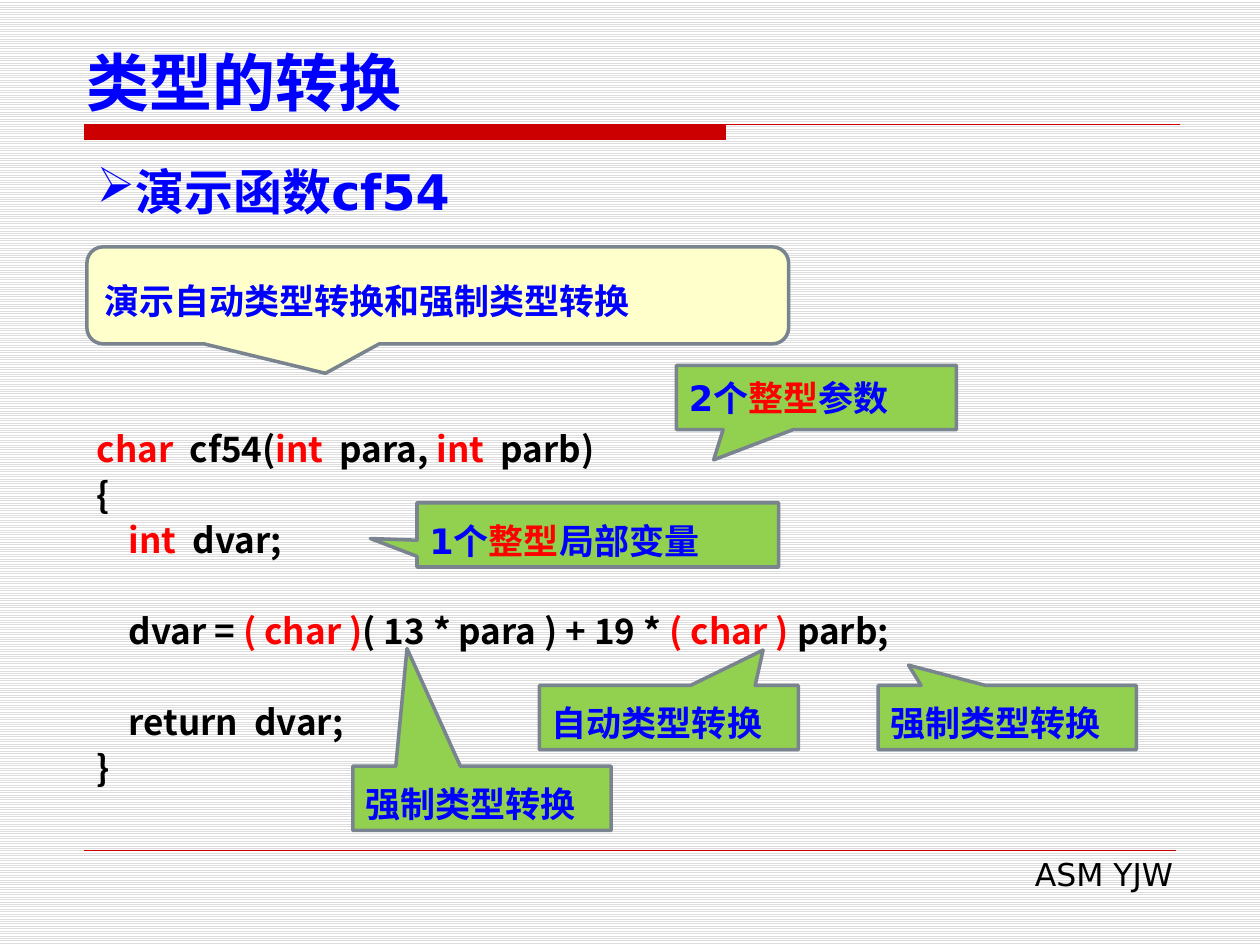
from lxml.etree import SubElement
from pptx import Presentation
from pptx.dml.color import RGBColor
from pptx.enum.dml import MSO_PATTERN
from pptx.enum.shapes import MSO_CONNECTOR, MSO_SHAPE
from pptx.enum.text import MSO_ANCHOR, PP_ALIGN
from pptx.oxml.ns import qn
from pptx.util import Pt

BLUE = RGBColor(0x00, 0x00, 0xFF)
RED = RGBColor(0xFF, 0x00, 0x00)
BLACK = RGBColor(0x00, 0x00, 0x00)
RULE_RED = RGBColor(0xCC, 0x00, 0x00)
GREEN = RGBColor(0x92, 0xD0, 0x50)
CREAM = RGBColor(0xFF, 0xFF, 0xCC)
OUTLINE = RGBColor(0x79, 0x84, 0x8F)
STRIPE = RGBColor(0xDD, 0xDD, 0xDD)
WHITE = RGBColor(0xFF, 0xFF, 0xFF)
LATIN, CJK = "DejaVu Sans", "Noto Sans CJK SC"

# Content: backticks enclose red words
TITLE = "类型的转换"
SUBTITLE = "演示函数cf54"
FOOTER = "ASM YJW"
CODE_PITCH, CODE_INDENT = 26, 18.3
CODE = [  # text, indent level, empty lines above
    ("`char  `cf54(`int  `para, `int  `parb)", 0, 0),
    ("{", 0, 0),
    ("`int  `dvar;", 1, 0),
    ("dvar = `( char )`( 13 * para ) + 19 * `( char ) `parb;", 1, 1),
    ("return  dvar;", 1, 1),
    ("}", 0, 0),
]
RECT, ROUND = MSO_SHAPE.RECTANGULAR_CALLOUT, MSO_SHAPE.ROUNDED_RECTANGULAR_CALLOUT
CALLOUTS = [  # text, shape, fill, font, box, pointer tip, line pitch
    ("强制类型转换", RECT, GREEN, LATIN, (201.6, 437.8, 147.6, 36.7), (-0.29, -2.331), 30),
    ("演示自动类型转换和强制类型转换", ROUND, CREAM, CJK,
     (49.7, 141.1, 401, 55.4), (-0.16, 0.804), 30),
    ("2个`整型`参数", RECT, GREEN, LATIN, (386.6, 208.8, 160, 36.7), (-0.367, 0.971), None),
    ("1个`整型`局部变量", RECT, GREEN, LATIN, (238.3, 287.3, 206.6, 36.7), (-0.629, 0.057), 30),
    ("强制类型转换", RECT, GREEN, LATIN, (501.8, 391.7, 147.6, 36.7), (-0.382, -0.816), 30),
    ("自动类型转换", RECT, GREEN, LATIN, (308.2, 391.7, 148, 36.7), (0.364, -1.052), 30),
]


def write(paragraph, text, size, color, font=LATIN, bold=True, align=PP_ALIGN.LEFT, pitch=None):
    paragraph.alignment = align
    if pitch:
        paragraph.line_spacing = Pt(pitch)
    paragraph.font.size = Pt(size)
    paragraph.font.bold = bold
    paragraph.font.name = font
    for index, part in enumerate(text.split("`")):
        if part:
            run = paragraph.add_run()
            run.text = part
            run.font.color.rgb = RED if index % 2 else color
            properties = run.font._element
            SubElement(properties, qn("a:latin"), typeface=font)
            SubElement(properties, qn("a:ea"), typeface=CJK)


def add_text_frame(box, anchor=MSO_ANCHOR.TOP):
    frame = slide.shapes.add_textbox(*map(Pt, box)).text_frame
    frame.word_wrap = True
    frame.vertical_anchor = anchor
    return frame


presentation = Presentation()
presentation.slide_width, presentation.slide_height = Pt(720), Pt(540)
slide = presentation.slides.add_slide(presentation.slide_layouts[6])

# Striped background
background = slide.background.fill
background.patterned()
background.pattern = MSO_PATTERN.LIGHT_HORIZONTAL
background.fore_color.rgb = STRIPE
background.back_color.rgb = WHITE

# Title rule: thick bar with a thin line running on
left, top, bar_right, bottom, line_right = map(Pt, (48.2, 71.3, 414.7, 79.9, 674.6))
builder = slide.shapes.build_freeform(left, top)
builder.add_line_segments([(bar_right, top), (bar_right, bottom), (left, bottom)], close=True)
builder.move_to(left, top)
builder.add_line_segments([(line_right, top)], close=False)
title_rule = builder.convert_to_shape()
title_rule.shadow.inherit = False
title_rule.fill.solid()
title_rule.fill.fore_color.rgb = RULE_RED
title_rule.line.color.rgb = RULE_RED
title_rule.line.width = Pt(0.75)

# Footer
footer_rule = slide.shapes.add_connector(
    MSO_CONNECTOR.STRAIGHT, left, Pt(486), Pt(671.8), Pt(486))
footer_rule.line.color.rgb = RULE_RED
footer_rule.line.width = Pt(0.25)
SubElement(footer_rule._element.spPr, qn("a:effectLst"))
footer = add_text_frame((275, 485.3, 402.5, 28.8))
write(footer.paragraphs[0], FOOTER, 18, BLACK, bold=False, align=PP_ALIGN.RIGHT)

# Title and bulleted subtitle
title = add_text_frame((42.5, 20.2, 652.3, 51.1), MSO_ANCHOR.BOTTOM)
write(title.paragraphs[0], TITLE, 36, BLUE, CJK)
subtitle = add_text_frame((48.2, 88.6, 623.5, 41)).paragraphs[0]
write(subtitle, SUBTITLE, 28, BLUE, align=PP_ALIGN.JUSTIFY)
bullet = SubElement(subtitle._p.get_or_add_pPr(), qn("a:buChar"), char="➢")
subtitle._p.pPr.insert(0, bullet)

# Code listing
code = add_text_frame((48.2, 239, 561.6, 217.4))
for index, (text, level, gap) in enumerate(CODE):
    paragraph = code.add_paragraph() if index else code.paragraphs[0]
    write(paragraph, text, 20, BLACK, CJK, pitch=CODE_PITCH)
    paragraph.space_before = Pt(gap * CODE_PITCH)
    paragraph._p.get_or_add_pPr().set("marL", str(Pt(level * CODE_INDENT)))

# Callouts
for text, kind, fill, font, box, tip, pitch in CALLOUTS:
    callout = slide.shapes.add_shape(kind, *map(Pt, box))
    callout.adjustments[0], callout.adjustments[1] = tip
    callout.shadow.inherit = False
    callout.fill.solid()
    callout.fill.fore_color.rgb = fill
    callout.line.color.rgb = OUTLINE
    callout.line.width = Pt(2)
    callout.text_frame.word_wrap = True
    callout.text_frame.vertical_anchor = MSO_ANCHOR.MIDDLE
    write(callout.text_frame.paragraphs[0], text, 20, BLUE, font, pitch=pitch)

presentation.save("out.pptx")
